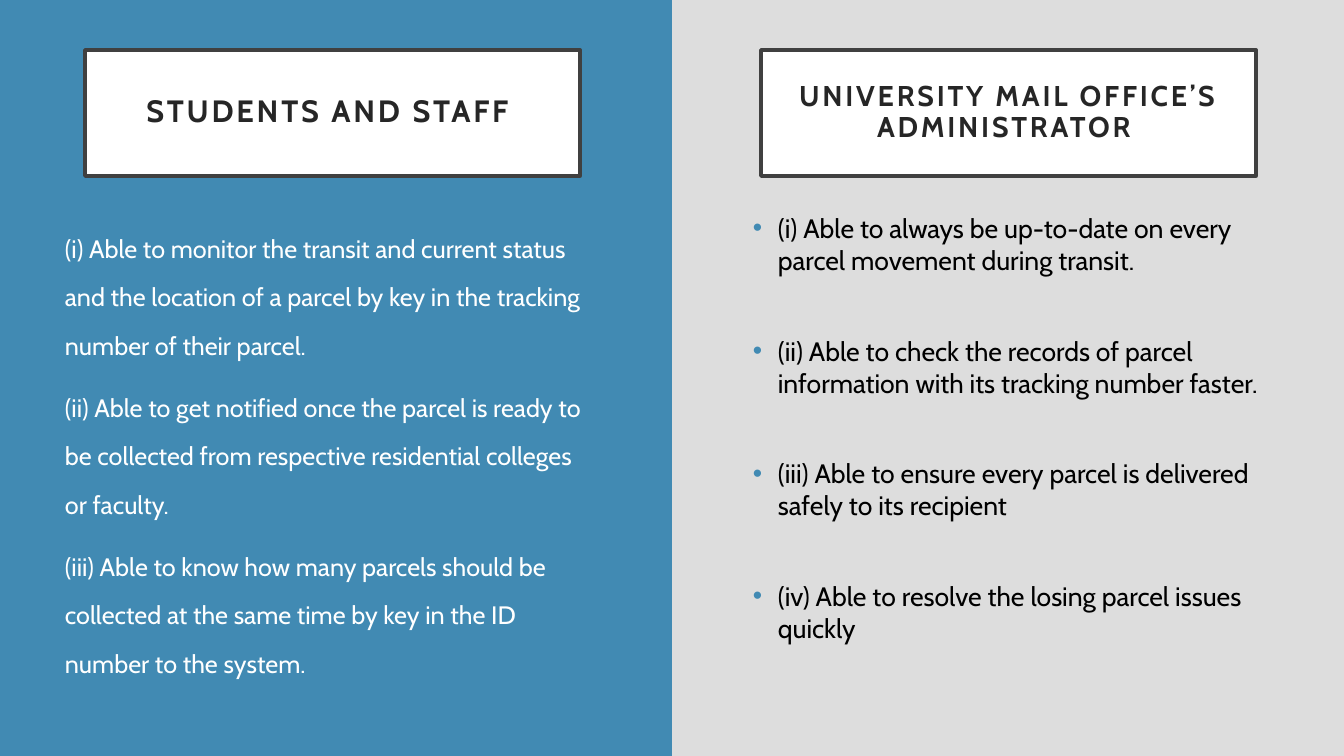
from pptx import Presentation
from pptx.dml.color import RGBColor
from pptx.enum.shapes import MSO_SHAPE
from pptx.enum.text import MSO_ANCHOR, PP_ALIGN
from pptx.oxml.ns import qn
from pptx.util import Pt
from lxml import etree

RECTANGLE = MSO_SHAPE.RECTANGLE
MIDDLE = MSO_ANCHOR.MIDDLE
TOP = MSO_ANCHOR.TOP
LEFT = PP_ALIGN.LEFT
CENTER = PP_ALIGN.CENTER

EMU_PER_PX = 914400 / 100.8
PAGE_WIDTH, PAGE_HEIGHT = 1344, 756
BLUE = "418AB3"
GREY = "DDDDDD"
WHITE = "FFFFFF"
BLACK = "000000"
FRAME = "404040"
INK = "262626"

STUDENT_BENEFITS = [
    "(i) Able to monitor the transit and current status and the location of a parcel "
    "by key in the tracking number of their parcel.",
    "(ii) Able to get notified once the parcel is ready to be collected from "
    "respective residential colleges or faculty.",
    "(iii) Able to know how many parcels should be collected at the same time "
    "by key in the ID number to the system.",
]
OFFICE_BENEFITS = [
    "(i) Able to always be up-to-date on every parcel movement during transit.",
    "(ii) Able to check the records of parcel information with its tracking number faster.",
    "(iii) Able to ensure every parcel is delivered safely to its recipient",
    "(iv) Able to resolve the losing parcel issues quickly",
]


def px(length):
    return round(length * EMU_PER_PX)


def color(value):
    return RGBColor.from_string(value)


class SlideBuilder:
    """Holds the font and the current page, and adds styled elements to it."""

    def __init__(self, page, font="Cabin"):
        self.page = page
        self.font = font

    def background(self, fill):
        self.page.background.fill.solid()
        self.page.background.fill.fore_color.rgb = color(fill)

    def rectangle(self, left, top, width, height, fill, line=None):
        box = self.page.shapes.add_shape(
            RECTANGLE, px(left), px(top), px(width), px(height))
        box.shadow.inherit = False
        box.fill.solid()
        box.fill.fore_color.rgb = color(fill)
        if line:
            box.line.color.rgb = color(line)
            box.line.width = Pt(2.5)
        else:
            box.line.fill.background()
        return box

    def style(self, para, size, ink, bold=False):
        for span in para.runs:
            span.font.name = self.font
            span.font.size = Pt(size)
            span.font.bold = bold
            span.font.color.rgb = color(ink)

    def heading(self, left, text, size):
        box = self.rectangle(left, 50, 495, 126, WHITE, FRAME)
        frame = box.text_frame
        frame.text = text
        frame.word_wrap = True
        frame.vertical_anchor = MIDDLE
        frame.margin_left = frame.margin_right = px(20)
        frame.margin_top = frame.margin_bottom = px(20)
        para = frame.paragraphs[0]
        para.alignment = CENTER
        para.line_spacing = 0.9
        self.style(para, size, INK, bold=True)
        for span in para.runs:
            span.font._element.set("spc", "200")

    def benefits(self, left, top, width, height, items, size, ink,
                 gap, line_spacing=1.0, bullet=None):
        """Add one paragraph per item; bullet is the bullet colour, if any."""
        box = self.page.shapes.add_textbox(px(left), px(top), px(width), px(height))
        frame = box.text_frame
        frame.text = "\n".join(items)
        frame.word_wrap = True
        frame.vertical_anchor = TOP
        for para in frame.paragraphs:
            para.alignment = LEFT
            para.line_spacing = line_spacing
            para.space_after = Pt(gap)
            self.style(para, size, ink)
            if bullet:
                self.bullet(para, bullet)

    def bullet(self, para, fill):
        properties = para._p.get_or_add_pPr()
        properties.set("marL", str(px(25)))
        properties.set("indent", str(-px(25)))
        bullet_color = etree.SubElement(properties, qn("a:buClr"))
        etree.SubElement(bullet_color, qn("a:srgbClr")).set("val", fill)
        etree.SubElement(properties, qn("a:buFont")).set("typeface", "Arial")
        etree.SubElement(properties, qn("a:buChar")).set("char", "•")


def main():
    deck = Presentation()
    deck.slide_width, deck.slide_height = px(PAGE_WIDTH), px(PAGE_HEIGHT)
    builder = SlideBuilder(deck.slides.add_slide(deck.slide_layouts[6]))

    builder.background(GREY)
    builder.rectangle(0, 0, PAGE_WIDTH // 2, PAGE_HEIGHT, BLUE)

    builder.heading(85, "STUDENTS AND STAFF ", 22)
    builder.benefits(55, 210, 553, 481, STUDENT_BENEFITS, 18, WHITE,
                     gap=10, line_spacing=1.6)

    builder.heading(761, "UNIVERSITY MAIL OFFICE’S ADMINISTRATOR ", 20.4)
    builder.benefits(743, 207, 531, 532, OFFICE_BENEFITS, 19, BLACK,
                     gap=42, bullet=BLUE)

    deck.save("out.pptx")


if __name__ == "__main__":
    main()
